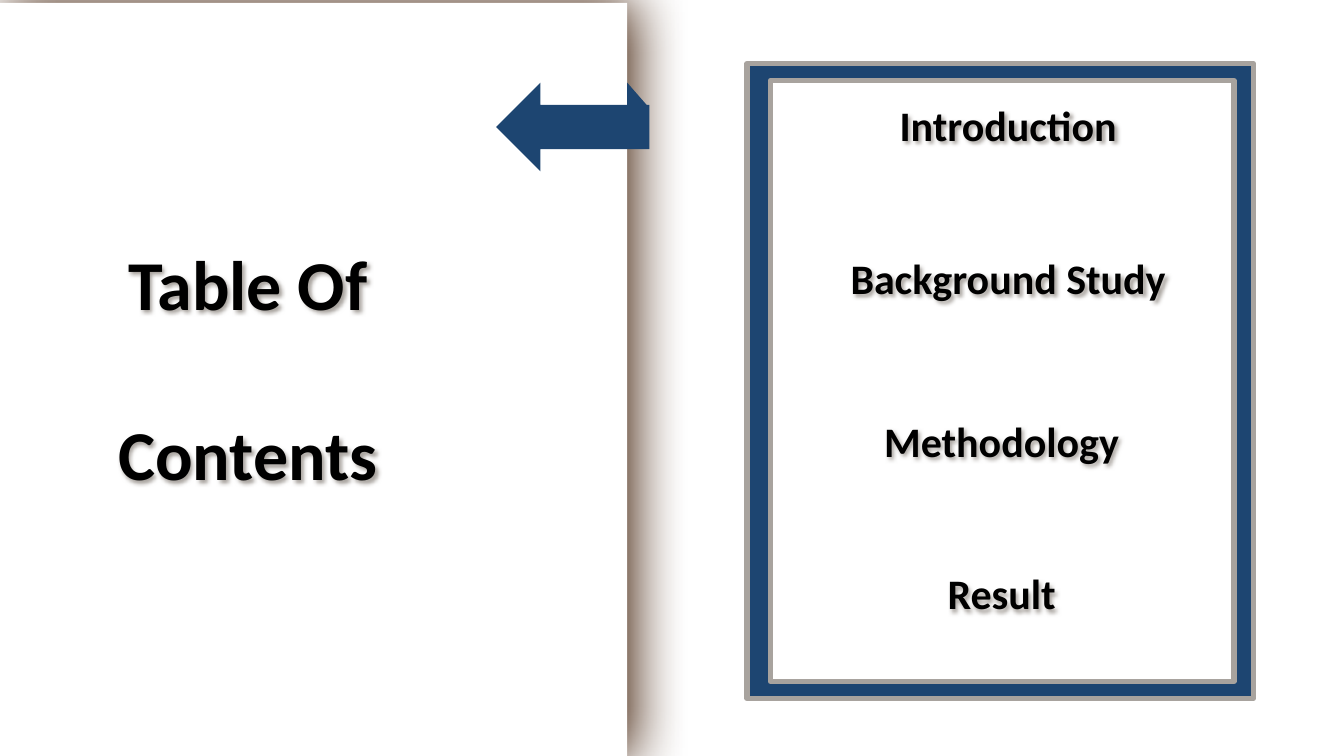
from dataclasses import dataclass

import pptx
import pptx.dml.color
import pptx.enum.shapes
import pptx.enum.text
import pptx.util
from lxml import etree

PX = 9144  # EMU, 100 px to the inch
NS = "http://schemas.openxmlformats.org/drawingml/2006/main"
KIND = pptx.enum.shapes.MSO_SHAPE
INK = {
    "page": "FFFFFF",
    "navy": "1D4571",
    "frame": "A8A39E",
    "text": "000000",
    "fold": "44230D",
    "halo": "A8A39E",
}


@dataclass(frozen=True)
class Box:
    x: int
    y: int
    w: int
    h: int

    def emu(self) -> list[int]:
        return [n * PX for n in (self.x, self.y, self.w, self.h)]


@dataclass(frozen=True)
class Shade:
    ink: str
    blur: float
    dist: float
    angle: int


@dataclass(frozen=True)
class Form:
    kind: KIND
    box: Box
    fill: str
    line: str | None = None
    shade: Shade | None = None


@dataclass(frozen=True)
class Label:
    box: Box
    lines: tuple[str, ...]
    size: int
    gap: int


# Slide content, from back to front
FOLD = Shade("fold", 40, 5, 0)
HALO = Shade("halo", 3, 2, 45)
FORMS = (
    Form(KIND.RECTANGLE, Box(0, 3, 622, 750), "page", shade=FOLD),
    Form(KIND.LEFT_ARROW, Box(492, 82, 152, 88), "navy"),
    Form(KIND.RIGHT_TRIANGLE, Box(622, 82, 21, 24), "navy"),
    Form(KIND.RECTANGLE, Box(741, 63, 502, 630), "navy", "frame"),
    Form(KIND.RECTANGLE, Box(764, 80, 460, 596), "page", "frame"),
)
LABELS = (
    Label(Box(102, 234, 288, 263), ("Table Of", "Contents"), 50, 61),
    Label(Box(776, 94, 448, 212), ("Introduction", "Background Study"), 30, 73),
    Label(Box(798, 407, 391, 212), ("Methodology", "Result"), 30, 73),
)


def tint(name: str) -> pptx.dml.color.RGBColor:
    return pptx.dml.color.RGBColor.from_string(INK[name])


def cast(shape, shade: Shade) -> None:
    """Give a shape a blurred outer shadow."""
    shape.shadow.inherit = False
    host = shape.element.spPr.find(f"{{{NS}}}effectLst")
    drop = etree.SubElement(
        host, f"{{{NS}}}outerShdw",
        blurRad=str(pptx.util.Pt(shade.blur)),
        dist=str(pptx.util.Pt(shade.dist)),
        dir=str(shade.angle * 60000),
        algn="ctr", rotWithShape="0",
    )
    etree.SubElement(drop, f"{{{NS}}}srgbClr", val=INK[shade.ink])


def draw(slide, form: Form) -> None:
    shape = slide.shapes.add_shape(form.kind, *form.box.emu())
    shape.shadow.inherit = False
    shape.fill.solid()
    shape.fill.fore_color.rgb = tint(form.fill)
    if form.line:
        shape.line.color.rgb = tint(form.line)
        shape.line.width = pptx.util.Pt(3.78)
    else:
        shape.line.fill.background()
    if form.shade:
        cast(shape, form.shade)


def write(slide, label: Label) -> None:
    box = slide.shapes.add_textbox(*label.box.emu())
    cast(box, HALO)
    frame = box.text_frame
    frame.word_wrap = True
    frame.text = "\n".join(label.lines)
    for row, para in enumerate(frame.paragraphs):
        para.alignment = pptx.enum.text.PP_ALIGN.CENTER
        if row:
            para.space_before = pptx.util.Pt(label.gap)
        for run in para.runs:
            run.font.name = "Calibri"
            run.font.size = pptx.util.Pt(label.size)
            run.font.bold = True
            run.font.color.rgb = tint("text")


def main() -> None:
    deck = pptx.Presentation()
    deck.slide_width = 1333 * PX
    deck.slide_height = 750 * PX
    slide = deck.slides.add_slide(deck.slide_layouts[6])
    for form in FORMS:
        draw(slide, form)
    for label in LABELS:
        write(slide, label)
    deck.save("out.pptx")


if __name__ == "__main__":
    main()
